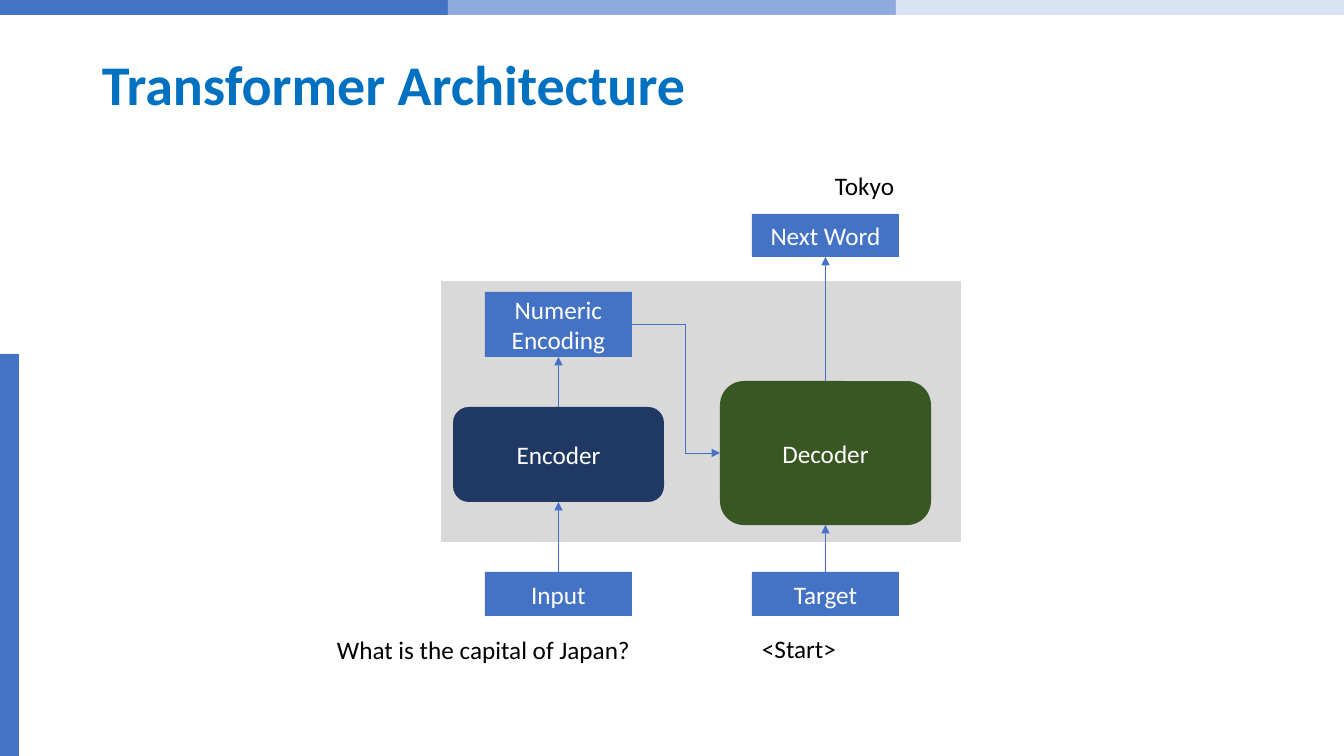
from lxml import etree
from pptx import Presentation
from pptx.dml.color import RGBColor
from pptx.enum.shapes import MSO_CONNECTOR, MSO_SHAPE
from pptx.enum.text import MSO_ANCHOR, MSO_AUTO_SIZE, PP_ALIGN
from pptx.oxml.ns import qn
from pptx.util import Emu, Pt

BLUE = RGBColor(0x44, 0x72, 0xC4)
MID_BLUE = RGBColor(0x8F, 0xAA, 0xDC)
PALE_BLUE = RGBColor(0xDA, 0xE3, 0xF3)
TITLE_BLUE = RGBColor(0x00, 0x70, 0xC0)
NAVY = RGBColor(0x20, 0x38, 0x64)
GREEN = RGBColor(0x38, 0x57, 0x23)
GREY = RGBColor(0xD9, 0xD9, 0xD9)
WHITE = RGBColor(0xFF, 0xFF, 0xFF)
BLACK = RGBColor(0x00, 0x00, 0x00)

PX = 914400 / 100.8
TOP, LEFT, BOTTOM, RIGHT = range(4)

prs = Presentation()
prs.slide_width = Emu(round(1344 * PX))
prs.slide_height = Emu(round(756 * PX))
s = prs.slides.add_slide(prs.slide_layouts[6])


def add_block(kind, box, color):
    sp = s.shapes.add_shape(kind, *[Emu(round(v * PX)) for v in box])
    sp.shadow.inherit = False
    sp.fill.solid()
    sp.fill.fore_color.rgb = color
    sp.line.fill.background()
    return sp


def write(sp, text, color, size=18, bold=False, align=PP_ALIGN.LEFT, **frame):
    tf = sp.text_frame
    for name, value in frame.items():
        setattr(tf, name, value)
    p = tf.paragraphs[0]
    p.alignment = align
    r = p.add_run()
    r.text = text
    r.font.color.rgb = color
    for name, value in {"name": "Calibri", "size": Pt(size), "bold": bold}.items():
        setattr(r.font, name, value)
    return p


for i, color in enumerate([BLUE, MID_BLUE, PALE_BLUE]):
    add_block(MSO_SHAPE.RECTANGLE, (448 * i, -2, 448, 17), color)
add_block(MSO_SHAPE.RECTANGLE, (0, 354, 19, 402), BLUE)
add_block(MSO_SHAPE.RECTANGLE, (441, 281, 520, 261), GREY)

title = s.shapes.add_textbox(*[Emu(round(v * PX)) for v in (92, 40, 1159, 95)])
p = write(title, "Transformer Architecture", TITLE_BLUE, 40, True,
          word_wrap=True, vertical_anchor=MSO_ANCHOR.MIDDLE)
p.line_spacing = 0.9

nodes = {}
for text, box, color, square in [
    ("Encoder", (453, 407, 211, 95), NAVY, False),
    ("Decoder", (720, 381, 211, 144), GREEN, False),
    ("Next Word", (752, 214, 147, 43), BLUE, True),
    ("Target", (752, 572, 147, 44), BLUE, True),
    ("Input", (485, 572, 147, 44), BLUE, True),
    ("Numeric Encoding", (485, 292, 147, 65), BLUE, True),
]:
    sp = add_block(MSO_SHAPE.ROUNDED_RECTANGLE, box, color)
    if square:
        sp.adjustments[0] = 0
    write(sp, text, WHITE, align=PP_ALIGN.CENTER,
          word_wrap=True, vertical_anchor=MSO_ANCHOR.MIDDLE)
    nodes[text] = sp

for kind, start, start_site, end, end_site in [
    (MSO_CONNECTOR.STRAIGHT, "Input", TOP, "Encoder", BOTTOM),
    (MSO_CONNECTOR.STRAIGHT, "Decoder", TOP, "Next Word", BOTTOM),
    (MSO_CONNECTOR.STRAIGHT, "Target", TOP, "Decoder", BOTTOM),
    (MSO_CONNECTOR.STRAIGHT, "Encoder", TOP, "Numeric Encoding", BOTTOM),
    (MSO_CONNECTOR.ELBOW, "Numeric Encoding", RIGHT, "Decoder", LEFT),
]:
    arrow = s.shapes.add_connector(kind, 0, 0, 0, 0)
    arrow.begin_connect(nodes[start], start_site)
    arrow.end_connect(nodes[end], end_site)
    arrow.line.color.rgb = BLUE
    arrow.line.width = Pt(0.5)
    spPr = arrow._element.spPr
    etree.SubElement(spPr.find(qn("a:ln")), qn("a:tailEnd"), type="triangle")
    etree.SubElement(spPr, qn("a:effectLst"))
    if kind == MSO_CONNECTOR.ELBOW:
        guides = spPr.find(qn("a:prstGeom")).find(qn("a:avLst"))
        etree.SubElement(guides, qn("a:gd"), name="adj1", fmla="val 60900")

for text, box in [
    ("What is the capital of Japan?", (327, 629, 316, 40)),
    ("<Start>", (752, 628, 94, 40)),
    ("Tokyo", (825, 165, 79, 40)),
]:
    sp = s.shapes.add_textbox(*[Emu(round(v * PX)) for v in box])
    write(sp, text, BLACK, word_wrap=False,
          auto_size=MSO_AUTO_SIZE.SHAPE_TO_FIT_TEXT)

prs.save("out.pptx")
